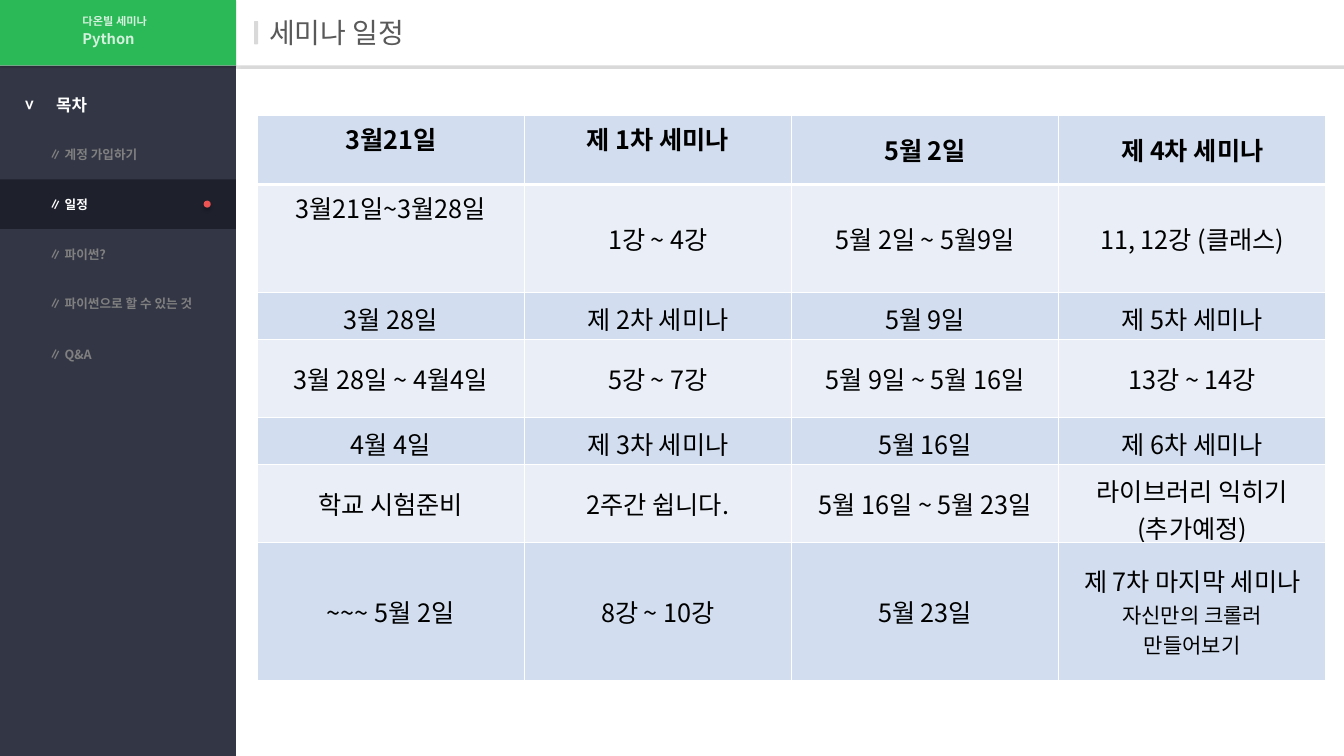
from pptx import Presentation
from pptx.dml.color import RGBColor
from pptx.enum.shapes import MSO_SHAPE
from pptx.enum.text import MSO_ANCHOR, PP_ALIGN
from pptx.oxml import parse_xml
from pptx.oxml.ns import nsdecls, qn
from pptx.util import Pt
from lxml.etree import SubElement

PX = 9144  # 100 px to the inch


def px(length):
    return length * PX


def rgb(hex_color):
    return RGBColor.from_string(hex_color)


class SlideBuilder:
    font = "Noto Sans CJK KR"
    white, sidebar, active, muted = "FFFFFF", "333645", "1E202C", "808080"
    green, red, bar_gray, title_gray = "2BB957", "EC5353", "D9D9D9", "595959"
    band_dark, band_light, black = "D2DEEF", "EAEFF7", "000000"

    def __init__(self, slide):
        self.slide = slide

    def run(self, paragraph, text, size, color, bold=False, alpha=None):
        run = paragraph.add_run()
        run.text = text
        run.font.size, run.font.bold, run.font.name = Pt(size), bold, self.font
        run.font.color.rgb = rgb(color)
        properties = run.font._element
        SubElement(properties, qn("a:ea")).set("typeface", self.font)
        if alpha:
            tint = properties.find(qn("a:solidFill"))[0]
            SubElement(tint, qn("a:alpha")).set("val", str(alpha * 1000))

    def shape(self, kind, box, color, shadow=None):
        shape = self.slide.shapes.add_shape(kind, *map(px, box))
        shape.fill.solid()
        shape.fill.fore_color.rgb = rgb(color)
        shape.line.fill.background()
        shape.shadow.inherit = False
        if shadow:
            alpha, blur, distance = shadow
            shape._element.spPr.find(qn("a:effectLst")).append(parse_xml(
                f'<a:outerShdw {nsdecls("a")} blurRad="{Pt(blur)}" dist="{Pt(distance)}" '
                f'dir="5400000" algn="t" rotWithShape="0"><a:srgbClr val="000000">'
                f'<a:alpha val="{alpha * 1000}"/></a:srgbClr></a:outerShdw>'))
        return shape

    def indent(self, paragraph, length):
        paragraph._p.get_or_add_pPr().set("marL", str(px(length)))

    def text(self, box, text, size, color, bold=True, wrap=True, alpha=None):
        label = self.slide.shapes.add_textbox(*map(px, box))
        label.text_frame.word_wrap = wrap
        self.run(label.text_frame.paragraphs[0], text, size, color, bold, alpha)
        return label

    def brand_line(self, box, text, size):
        line = self.text(box, text, size, self.white, alpha=80).text_frame.paragraphs[0]
        line.line_spacing, line.space_before = 0.9, Pt(10)

    def menu_item(self, box, text, selected):
        item = self.shape(MSO_SHAPE.RECTANGLE, box, self.active if selected else self.sidebar)
        item.text_frame.vertical_anchor = MSO_ANCHOR.MIDDLE
        entry = item.text_frame.paragraphs[0]
        entry.alignment = PP_ALIGN.LEFT
        self.indent(entry, 39)
        self.run(entry, f"∥ {text}", 9, self.white if selected else self.muted, True)

    def borders(self, cell, bottom):
        properties = cell._tc.get_or_add_tcPr()
        for side, width in (("L", 1), ("R", 1), ("T", 1), ("B", bottom)):
            properties.append(parse_xml(
                f'<a:ln{side} {nsdecls("a")} w="{Pt(width)}"><a:solidFill>'
                f'<a:srgbClr val="{self.white}"/></a:solidFill></a:ln{side}>'))

    def table(self, box, heights, rows, top_cells):
        table = self.slide.shapes.add_table(len(rows), len(rows[0]), *map(px, box)).table
        for column in table.columns:
            column.width = px(box[2] // len(rows[0]))
        for r, (height, row) in enumerate(zip(heights, rows)):
            table.rows[r].height = px(height)
            for c, lines in enumerate(row):
                cell = table.cell(r, c)
                self.borders(cell, 3 if r == 0 else 1)
                cell.fill.solid()
                cell.fill.fore_color.rgb = rgb(self.band_light if r % 2 else self.band_dark)
                if (r, c) not in top_cells:
                    cell.vertical_anchor = MSO_ANCHOR.MIDDLE
                    cell.margin_left = cell.margin_right = px(8)
                    cell.margin_top = cell.margin_bottom = px(8)
                for n, line in enumerate(lines.split("\n")):
                    frame = cell.text_frame
                    paragraph = frame.add_paragraph() if n else frame.paragraphs[0]
                    paragraph.alignment = PP_ALIGN.CENTER
                    small = r == len(rows) - 1 and n > 0
                    self.run(paragraph, line, 15 if small else 18, self.black, r == 0)


MENU = ["계정 가입하기", "일정", "파이썬?", "파이썬으로 할 수 있는 것", "Q&A"]
SELECTED = "일정"
ROW_HEIGHTS = [69, 107, 47, 77, 47, 77, 137]
SCHEDULE = [
    ["3월21일", "제 1차 세미나", "5월 2일", "제 4차 세미나"],
    ["3월21일~3월28일", "1강 ~ 4강", "5월 2일 ~ 5월9일", "11, 12강 (클래스)"],
    ["3월 28일", "제 2차 세미나", "5월 9일", "제 5차 세미나"],
    ["3월 28일 ~ 4월4일", "5강 ~ 7강", "5월 9일 ~ 5월 16일", "13강 ~ 14강"],
    ["4월 4일", "제 3차 세미나", "5월 16일", "제 6차 세미나"],
    ["학교 시험준비", "2주간 쉽니다.", "5월 16일 ~ 5월 23일", "라이브러리 익히기\n(추가예정)"],
    ["~~~ 5월 2일", "8강 ~ 10강", "5월 23일", "제 7차 마지막 세미나\n자신만의 크롤러\n만들어보기"],
]


def main():
    deck = Presentation()
    deck.slide_width, deck.slide_height = px(1333), px(750)
    page = SlideBuilder(deck.slides.add_slide(deck.slide_layouts[6]))

    # Header and sidebar panels
    header_shadow = (15, 1, 1)
    page.shape(MSO_SHAPE.RECTANGLE, (234, 0, 1099, 65), page.white, header_shadow)
    page.shape(MSO_SHAPE.RECTANGLE, (0, 65, 234, 685), page.sidebar)
    page.shape(MSO_SHAPE.RECTANGLE, (0, 0, 234, 65), page.green, header_shadow)
    page.shape(MSO_SHAPE.ROUNDED_RECTANGLE, (252, 21, 4, 23), page.bar_gray)

    # Title
    title = page.text((249, 13, 1063, 38), "세미나 일정", 20, page.title_gray, bold=False)
    title.text_frame.vertical_anchor = MSO_ANCHOR.MIDDLE
    page.indent(title.text_frame.paragraphs[0], 8)

    # Contents menu
    page.text((46, 89, 54, 30), "목차", 12, page.white, wrap=False)
    chevron = page.text((16, 89, 28, 30), ">", 12, page.white, wrap=False)
    chevron.rotation = 90
    for i, entry in enumerate(MENU):
        page.menu_item((0, 129 + 99 * i // 2, 234, 49), entry, entry == SELECTED)
    page.shape(MSO_SHAPE.OVAL, (202, 199, 7, 7), page.red, (20, 2, 2))

    # Schedule
    page.table((255, 114, 1060, sum(ROW_HEIGHTS)), ROW_HEIGHTS, SCHEDULE, {(0, 0), (0, 1), (1, 0)})

    # Seminar name
    page.brand_line((72, 27, 146, 27), "Python", 10.5)
    page.brand_line((72, 11, 146, 23), "다온빌 세미나", 8)

    deck.save("out.pptx")


if __name__ == "__main__":
    main()
